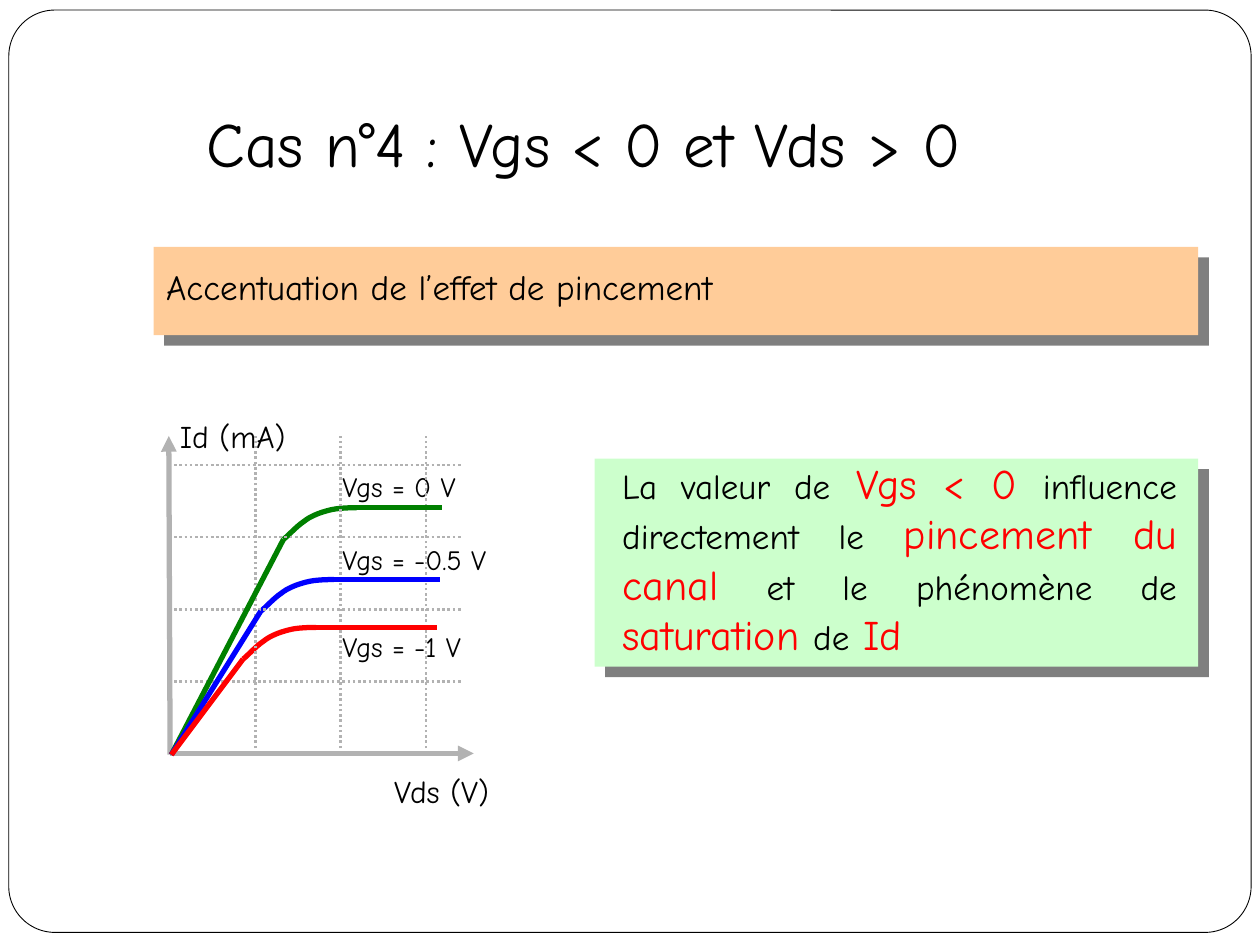
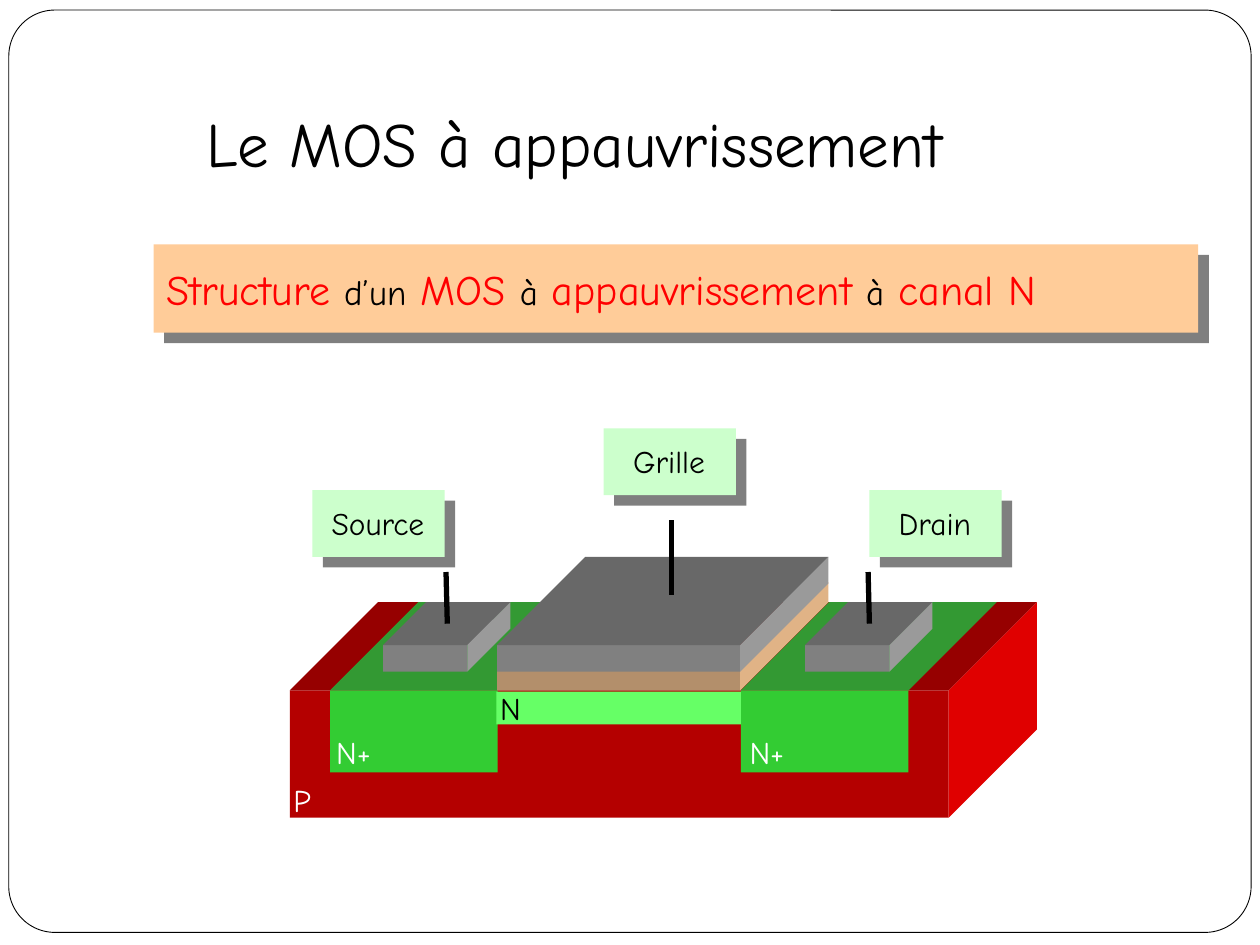
"""Build two slides on MOS transistors: pinch-off curves and device structure."""
from lxml.etree import SubElement
from pptx import Presentation
from pptx.dml.color import RGBColor
from pptx.enum.dml import MSO_LINE
from pptx.enum.shapes import MSO_CONNECTOR, MSO_SHAPE
from pptx.enum.text import MSO_ANCHOR, MSO_AUTO_SIZE, PP_ALIGN
from pptx.oxml.ns import qn
from pptx.util import Inches, Pt

FONT = "Comic Neue"
BLACK = RGBColor(0x00, 0x00, 0x00)
WHITE = RGBColor(0xFF, 0xFF, 0xFF)
RED = RGBColor(0xFF, 0x00, 0x00)
BLUE = RGBColor(0x00, 0x00, 0xFF)
GREEN = RGBColor(0x00, 0x80, 0x00)
AXIS_GREY = RGBColor(0xB2, 0xB2, 0xB2)
PEACH = RGBColor(0xFF, 0xCC, 0x99)
MINT = RGBColor(0xCC, 0xFF, 0xCC)
CHANNEL_GREEN = RGBColor(0x66, 0xFF, 0x66)
SUBSTRATE = (RGBColor(0xB4, 0x00, 0x00), RGBColor(0x96, 0x00, 0x00), RGBColor(0xE0, 0x00, 0x00))
WELL = (RGBColor(0x33, 0xCC, 0x33), RGBColor(0x33, 0x99, 0x33), None)
METAL = (RGBColor(0x80, 0x80, 0x80), RGBColor(0x68, 0x68, 0x68), RGBColor(0x9A, 0x9A, 0x9A))
OXIDE = (RGBColor(0xB3, 0x8F, 0x6B), None, RGBColor(0xE0, 0xB3, 0x86))

deck = Presentation()
deck.slide_width, deck.slide_height = Inches(10), Inches(7.5)
CELL = deck.slide_width // 100


def grid(*cells):
    """Turn grid cells, 100 to the slide's width, into lengths."""
    return [int(cell * CELL) for cell in cells]


title_only = deck.slide_layouts[5]
curves, structure = pages = [deck.slides.add_slide(title_only) for _ in range(2)]

frame = curves.shapes.add_shape(MSO_SHAPE.ROUNDED_RECTANGLE, *grid(0.7, 0.8, 98.6, 73.2))
frame.adjustments[0] = 0.05
frame.shadow.inherit = False
frame.fill.solid()
frame.fill.fore_color.rgb = WHITE
frame.line.color.rgb = BLACK
frame.line.width = Pt(0.5)
frame.element.xpath(".//p:cNvPr")[0].set("id", "99")
deck.slide_master.shapes.element.insert(2, frame.element)

for page, heading in zip(pages, ["Cas n°4 : Vgs < 0 et Vds > 0", "Le MOS à appauvrissement"]):
    title = page.shapes.title
    title.left, title.top, title.width, title.height = grid(15.4, 7.8, 75, 7)
    title.text_frame.text = heading
    title.text_frame.auto_size = MSO_AUTO_SIZE.NONE
    title.text_frame.vertical_anchor = MSO_ANCHOR.MIDDLE
    para = title.text_frame.paragraphs[0]
    para.alignment = PP_ALIGN.LEFT
    para.font.name, para.font.size = FONT, Pt(36)
    para.font.color.rgb = BLACK

panels = [
    (curves, 12.2, 19.6, 82.9, 7, PEACH),
    (curves, 47.2, 36.4, 47.9, 16.5, MINT),
    (structure, 12.2, 19.4, 82.9, 7, PEACH),
    (structure, 47.9, 34, 10.5, 5.3, MINT),
    (structure, 24.8, 38.9, 10.5, 5.3, MINT),
    (structure, 69, 38.9, 10.5, 5.3, MINT),
]
for page, left, top, width, height, color in panels:
    panel = page.shapes.add_shape(MSO_SHAPE.RECTANGLE, *grid(left, top, width, height))
    panel.fill.solid()
    panel.fill.fore_color.rgb = color
    panel.line.fill.background()
    panel.shadow.inherit = False
    effects = panel.element.spPr.find(qn("a:effectLst"))
    shadow = SubElement(effects, qn("a:outerShdw"), dist=str(Pt(8.5)), dir="2700000", algn="ctr", rotWithShape="0")
    shadow_color = SubElement(shadow, qn("a:srgbClr"), val="000000")
    SubElement(shadow_color, qn("a:alpha"), val="50000")

blocks = [
    (23, 54.8, 52.3, 10.1, 7, SUBSTRATE),
    (26.2, 54.8, 13.3, 6.5, 7, WELL),
    (58.8, 54.8, 13.3, 6.5, 7, WELL),
    (39.4, 54.9, 19.4, 2.6, 0, (CHANNEL_GREEN, None, None)),
    (30.4, 51.2, 6.7, 2.1, 3.4, METAL),
    (63.9, 51.2, 6.7, 2.1, 3.4, METAL),
    (39.45, 53.2, 19.3, 1.6, 7, OXIDE),
    (39.45, 51.2, 19.3, 2.1, 7, METAL),
]
for left, top, width, height, depth, (front_color, top_color, side_color) in blocks:
    right, bottom = left + width, top + height
    front = structure.shapes.add_shape(MSO_SHAPE.RECTANGLE, *grid(left, top, width, height))
    faces = [(front, front_color)]
    back_corner = (right + depth, top - depth)
    outlines = [
        (top_color, [(left, top), (left + depth, top - depth), back_corner, (right, top)]),
        (side_color, [(right, top), back_corner, (right + depth, bottom - depth), (right, bottom)]),
    ]
    for color, corners in outlines:
        if color:
            points = [grid(*corner) for corner in corners]
            builder = structure.shapes.build_freeform(*points[0])
            builder.add_line_segments(points[1:])
            faces.append((builder.convert_to_shape(), color))
    for face, color in faces:
        face.fill.solid()
        face.fill.fore_color.rgb = color
        face.line.fill.background()
        face.shadow.inherit = False

LEFT, CENTER, JUSTIFY = PP_ALIGN.LEFT, PP_ALIGN.CENTER, PP_ALIGN.JUSTIFY
explanation = (
    "La valeur de| Vgs < 0 |influence| |directement le |pincement du canal"
    "| et le phénomène de| saturation |de| Id"
)
subject = "|Structure |d’un| MOS |à| appauvrissement |à| canal N"
texts = [
    (curves, 12.2, 20.6, 82.2, 4.3, "Accentuation de l’effet de pincement", 20, BLACK, JUSTIFY),
    (curves, 30.3, 60.8, 12, 4, "Vds (V)", 18, BLACK, LEFT),
    (curves, 13.3, 32.6, 12, 4, "Id (mA)", 18, BLACK, LEFT),
    (curves, 26.2, 36.8, 15, 3.7, "Vgs = 0 V", 16, BLACK, LEFT),
    (curves, 26.2, 42.6, 15, 3.7, "Vgs = -0.5 V", 16, BLACK, LEFT),
    (curves, 26.2, 49.5, 15, 3.7, "Vgs = -1 V", 16, BLACK, LEFT),
    (curves, 48.4, 35.8, 46, 17, explanation, 20, BLACK, JUSTIFY),
    (structure, 12.2, 20.4, 82.2, 5, subject, 20, BLACK, JUSTIFY),
    (structure, 22.3, 61.5, 8.6, 4, "P", 18, WHITE, JUSTIFY),
    (structure, 25.7, 57.7, 6.2, 4, "N+", 18, WHITE, JUSTIFY),
    (structure, 58.5, 57.7, 6.2, 4, "N+", 18, WHITE, JUSTIFY),
    (structure, 38.7, 54.2, 3.5, 4, "N", 18, BLACK, JUSTIFY),
    (structure, 47.6, 34.6, 11, 4, "Grille", 18, BLACK, CENTER),
    (structure, 24.5, 39.5, 11, 4, "Source", 18, BLACK, CENTER),
    (structure, 68.7, 39.5, 11, 4, "Drain", 18, BLACK, CENTER),
]
for page, left, top, width, height, wording, size, color, alignment in texts:
    box = page.shapes.add_textbox(*grid(left, top, width, height))
    box.text_frame.word_wrap = True
    para = box.text_frame.paragraphs[0]
    para.alignment = alignment
    para.font.name, para.font.size = FONT, Pt(size)
    para.font.color.rgb = color
    pieces = wording.split("|")
    for index, piece in enumerate(pieces):
        if piece:
            span = para.add_run()
            span.text = piece
            if len(pieces) > 1:
                highlighted = index % 2 == 1
                span.font.size = Pt(size + 4 if highlighted else size)
                span.font.color.rgb = RED if highlighted else color

lines = [(curves, 13.4, 36.9 + 5.73 * row, 36.6, 36.9 + 5.73 * row, AXIS_GREY, "dotted") for row in range(4)]
lines += [(curves, 20.3 + 6.75 * column, 59.8, 20.3 + 6.75 * column, 34.6, AXIS_GREY, "dotted") for column in range(3)]
lines += [
    (curves, 13.5, 59.9, 13.4, 34.6, AXIS_GREY, "arrow"),
    (curves, 13.5, 59.8, 37.6, 59.8, AXIS_GREY, "arrow"),
    (structure, 35.5, 49.5, 35.4, 45.4, BLACK, "plain"),
    (structure, 69, 49.5, 68.9, 45.4, BLACK, "plain"),
    (structure, 53.3, 47.2, 53.3, 41.3, BLACK, "plain"),
]

BEND = [(0, 0), (0.3, -0.2), (1, -1), (1.6, -1.4), (2.1, -1.8), (2.8, -2.1), (3.6, -2.3), (4.3, -2.5), (5.4, -2.5), (5.8, -2.5)]
STEPS = 8
for bend_left, bend_bottom, curve_right, color in [(22.5, 42.8, 35.1, GREEN), (20.7, 48.5, 34.9, BLUE), (19.3, 52.3, 34.7, RED)]:
    plateau = bend_bottom - 2.5
    lines.append((curves, 13.6, 59.9, bend_left, bend_bottom, color, "plain"))
    lines.append((curves, bend_left + 5.6, plateau, curve_right, plateau, color, "plain"))
    points = []
    for first in (0, 3, 6):
        for step in range(1, STEPS + 1):
            t = step / STEPS
            weights = ((1 - t) ** 3, 3 * t * (1 - t) ** 2, 3 * t ** 2 * (1 - t), t ** 3)
            x, y = (sum(w * node[axis] for w, node in zip(weights, BEND[first:first + 4])) for axis in (0, 1))
            points.append(grid(bend_left + x, bend_bottom + y))
    builder = curves.shapes.build_freeform(*grid(bend_left, bend_bottom))
    builder.add_line_segments(points, close=False)
    bend = builder.convert_to_shape()
    bend.fill.background()
    bend.line.color.rgb = color
    bend.line.width = Pt(3)
    bend.shadow.inherit = False

for page, start_x, start_y, end_x, end_y, color, style in lines:
    line = page.shapes.add_connector(MSO_CONNECTOR.STRAIGHT, *grid(start_x, start_y, end_x, end_y))
    line.line.color.rgb = color
    line.line.width = Pt(1.5 if style == "dotted" else 3)
    if style == "dotted":
        line.line.dash_style = MSO_LINE.ROUND_DOT
    if style == "arrow":
        SubElement(line.line._get_or_add_ln(), qn("a:tailEnd"), type="triangle")
    SubElement(line.element.spPr, qn("a:effectLst"))

deck.save("out.pptx")
